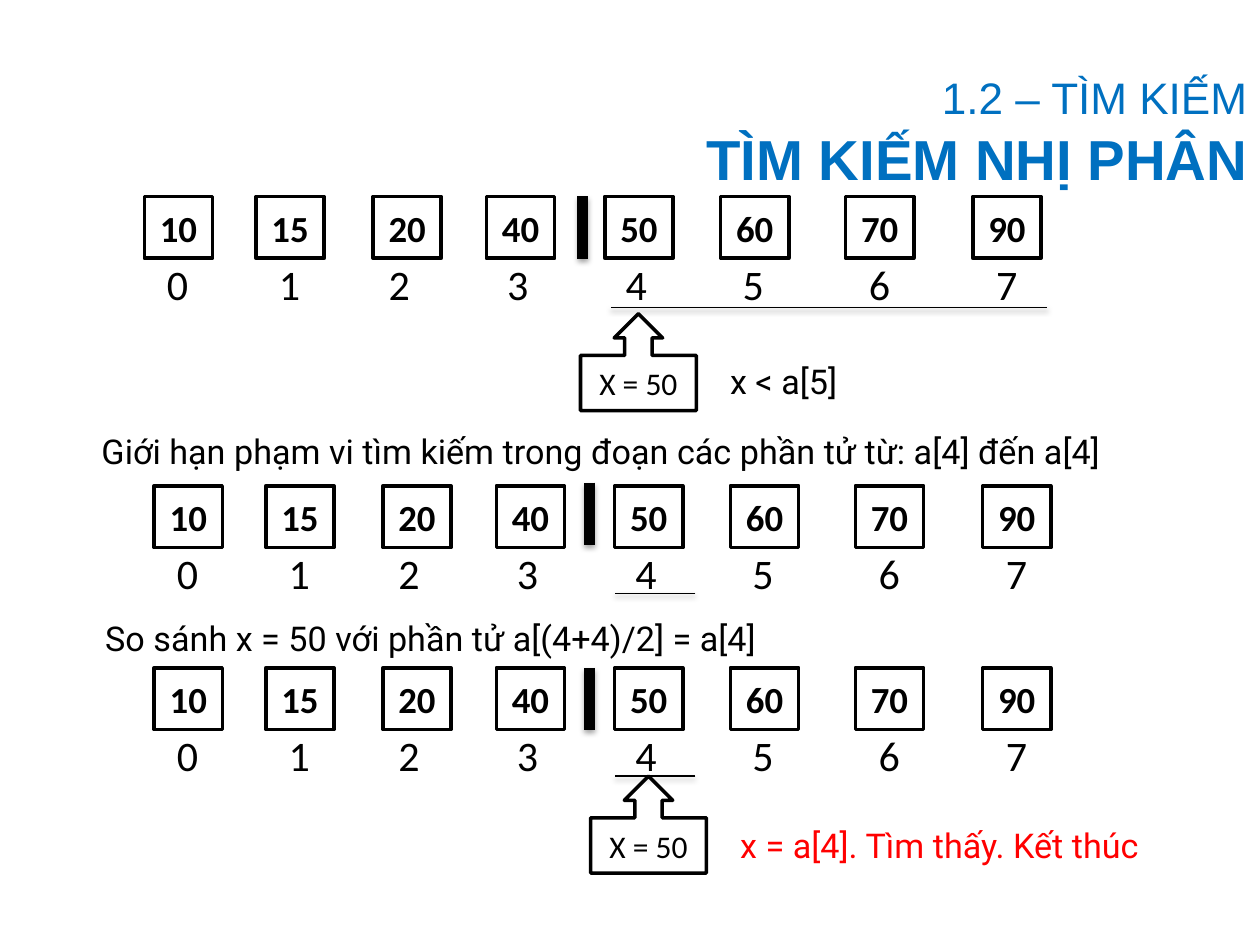
from lxml import etree
from pptx import Presentation
from pptx.dml.color import RGBColor
from pptx.enum.shapes import MSO_CONNECTOR, MSO_SHAPE
from pptx.enum.text import MSO_ANCHOR, MSO_AUTO_SIZE, PP_ALIGN
from pptx.oxml.ns import qn
from pptx.util import Pt

BLACK = RGBColor(0x00, 0x00, 0x00)
BLUE = RGBColor(0x00, 0x70, 0xC0)
RED = RGBColor(0xFF, 0x00, 0x00)
LINE = MSO_CONNECTOR.STRAIGHT
RECT = MSO_SHAPE.RECTANGLE
CALLOUT = MSO_SHAPE.UP_ARROW_CALLOUT
MIDDLE = MSO_ANCHOR.MIDDLE
NO_FIT = MSO_AUTO_SIZE.NONE
CENTER, JUSTIFY, RIGHT = PP_ALIGN.CENTER, PP_ALIGN.JUSTIFY, PP_ALIGN.RIGHT

prs = Presentation()
prs.slide_width, prs.slide_height = Pt(720), Pt(540)
s = prs.slides.add_slide(prs.slide_layouts[5])


def add_label(text, x, y, w, h, size, shape=None, bold=False):
    """Centred label, in an outlined shape if one is given."""
    box = Pt(x), Pt(y), Pt(w), Pt(h)
    if shape is None:
        sp = s.shapes.add_textbox(*box)
    else:
        sp = s.shapes.add_shape(shape, *box)
        sp.shadow.inherit = False
        sp.fill.background()
        sp.line.color.rgb = BLACK
        sp.line.width = Pt(2)
    tf = sp.text_frame
    tf.word_wrap = True
    tf.vertical_anchor = MIDDLE
    tf.text = text
    p = tf.paragraphs[0]
    p.alignment = CENTER
    f = p.runs[0].font
    f.name, f.size, f.bold = "Calibri", Pt(size), bold
    f.color.rgb = BLACK
    return sp


def add_line(x1, y1, x2, y2, width):
    """Black line with a soft shadow below it."""
    c = s.shapes.add_connector(LINE, Pt(x1), Pt(y1), Pt(x2), Pt(y2))
    c.line.color.rgb = BLACK
    c.line.width = Pt(width)
    effects = etree.SubElement(c._element.spPr, qn("a:effectLst"))
    shadow = etree.SubElement(effects, qn("a:outerShdw"), blurRad=str(Pt(3.1)),
                              dist=str(Pt(1.8)), dir="5400000", rotWithShape="0")
    color = etree.SubElement(shadow, qn("a:srgbClr"), val="000000")
    etree.SubElement(color, qn("a:alpha"), val="35000")


# Title
title = s.shapes.title
title.left, title.top, title.width, title.height = Pt(131.8), Pt(41.8), Pt(588.2), Pt(66.2)
tf = title.text_frame
tf.auto_size = NO_FIT
tf.vertical_anchor = MIDDLE
tf.text = "1.2 – TÌM KIẾM\nTÌM KIẾM NHỊ PHÂN"
for p, size, bold in zip(tf.paragraphs, (25.2, 32.2), (False, True)):
    p.alignment = RIGHT
    f = p.runs[0].font
    f.name, f.size, f.bold = "Arial", Pt(size), bold
    f.color.rgb = BLUE

# Array rows: value, box left, index left
cells = [(10, 82.5, 68.4), (15, 146.3, 132.3), (20, 213.2, 195.1), (40, 278, 262.8),
         (50, 345.6, 330.5), (60, 411.8, 397.3), (70, 483.2, 469.5), (90, 555.9, 542.2)]
# Row shift, top, underline right, underline left, underline y
rows = [(0, 112.3, 598.3, 349.2, 175.7),
        (5.6, 277.6, 397.4, 351.4, 339.1),
        (5.6, 381.6, 397.4, 351.4, 443.5)]
for dx, top, right, left, under in rows:
    for i, (value, box_x, index_x) in enumerate(cells):
        add_label(str(value), box_x + dx, top, 39, 35.3, 21, RECT, True)
        add_label(str(i), index_x + dx, top + 39.7, 66.2, 20.2, 24)
    divider = 333 + dx * 0.7
    divider_top = top - 1.8 if top == 277.6 else top
    add_line(divider, divider_top, divider, divider_top + 35.6, 6)
    add_line(right, under, left, under, 0.75)

# Pointers to the searched value
for x, y in [(331.7, 179.3), (337.5, 443.5)]:
    sp = add_label("X = 50", x, y, 66.2, 55.4, 18, CALLOUT)
    for i, adj in enumerate((0.282, 0.25, 0.25, 0.569)):
        sp.adjustments[i] = adj

# Comments on each step
notes = [
    ("x < a[5]", 411.8, 191.5, 313.2, BLACK),
    ("Giới hạn phạm vi tìm kiếm trong đoạn các phần tử từ: a[4] đến a[4]",
     52.6, 231.8, 664.6, BLACK),
    ("So sánh x = 50 với phần tử a[(4+4)/2] = a[4]", 54.7, 338.4, 664.6, BLACK),
    ("x = a[4]. Tìm thấy. Kết thúc", 417.6, 456.5, 270.7, RED),
]
for text, x, y, w, color in notes:
    tf = s.shapes.add_textbox(Pt(x), Pt(y), Pt(w), Pt(43.9)).text_frame
    tf.word_wrap = True
    tf.margin_left = tf.margin_right = Pt(5.4)
    tf.margin_top = tf.margin_bottom = Pt(2.7)
    tf.text = text
    p = tf.paragraphs[0]
    p.alignment = JUSTIFY
    p.line_spacing = 1.5
    f = p.runs[0].font
    f.name, f.size = "Roboto", Pt(19.5)
    f.color.rgb = color

prs.save("out.pptx")
